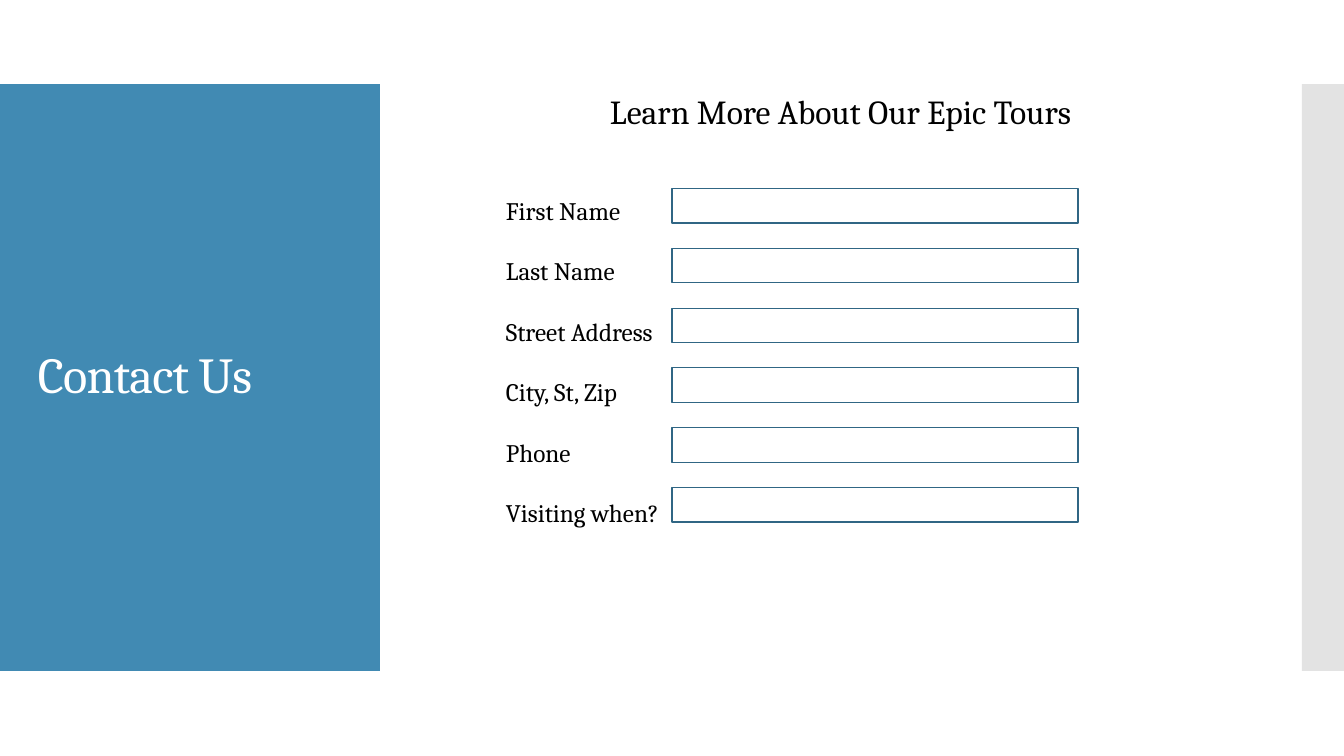
from dataclasses import dataclass

from lxml import etree
from pptx import Presentation
from pptx import util as u
from pptx.dml.color import RGBColor
from pptx.enum import shapes, text
from pptx.oxml.ns import qn

SCALE = 914400 / 100.8  # EMU in one pixel


@dataclass(frozen=True)
class Theme:
    """Colours, type sizes and font of the slide."""
    font: str = "Cambria"
    panel: str = "418AB3"
    strip: str = "C8C8C8"
    field_line: str = "306684"
    ink: str = "000000"
    light: str = "FFFFFF"
    title_size: int = 36
    heading_size: int = 24
    label_size: int = 18
    line_width: float = 0.85


THEME = Theme()
LABELS = ["First Name", "Last Name", "Street Address",
          "City, St, Zip", "Phone", "Visiting when?"]


def emu(*pixels):
    """Turn pixels into EMU."""
    return [u.Emu(round(pixel * SCALE)) for pixel in pixels]


def apply_format(target, values):
    """Set each attribute named in a dict of format values."""
    for name, value in values.items():
        setattr(target, name, value)


def add_rectangle(slide, box, fill=None, line=None):
    """Add a rectangle with an optional fill and outline."""
    shape = slide.shapes.add_shape(shapes.MSO_SHAPE.RECTANGLE, *emu(*box))
    shape.shadow.inherit = False
    for part, color in ((shape.fill, fill), (shape.line.fill, line)):
        if color:
            part.solid()
            part.fore_color.rgb = RGBColor.from_string(color)
        else:
            part.background()
    if line:
        shape.line.width = u.Pt(THEME.line_width)
    return shape


def add_text(slide, box, lines, size, color, frame_format=None, paragraph_format=None):
    """Add a text box with one paragraph for each line and return its frame."""
    frame = slide.shapes.add_textbox(*emu(*box)).text_frame
    apply_format(frame, {"word_wrap": True, **(frame_format or {})})
    frame.text = "\n".join(lines)
    for paragraph in frame.paragraphs:
        apply_format(paragraph, paragraph_format or {})
        font = paragraph.runs[0].font
        apply_format(font, {"name": THEME.font, "size": u.Pt(size)})
        font.color.rgb = RGBColor.from_string(color)
    return frame


def add_title_panel(slide, left, top, width, height):
    """Add the coloured panel and the slide title on it."""
    add_rectangle(slide, (left, top, width, height), THEME.panel)
    frame = add_text(slide, (left + 28, top + 40, width - 55, height - 80),
                     ["Contact Us"], THEME.title_size, THEME.light,
                     {"vertical_anchor": text.MSO_ANCHOR.MIDDLE},
                     {"line_spacing": 0.9})
    frame.paragraphs[0].runs[0].font._element.set("spc", "-60")


def add_side_strip(slide, left, top, width, height):
    """Add the half transparent strip at the slide edge."""
    strip = add_rectangle(slide, (left, top, width, height), THEME.strip)
    color = strip._element.spPr.find(qn("a:solidFill"))[0]
    etree.SubElement(color, qn("a:alpha")).set("val", "50000")


def add_contact_form(slide, left, top, width, height):
    """Add the heading, the column of labels and an entry field for each."""
    grow = {"auto_size": text.MSO_AUTO_SIZE.SHAPE_TO_FIT_TEXT}
    add_text(slide, (left, top + 2, width, 50), ["Learn More About Our Epic Tours"],
             THEME.heading_size, THEME.ink, grow,
             {"alignment": text.PP_ALIGN.CENTER})
    add_text(slide, (left + 117, top + 76, 688, 369), LABELS,
             THEME.label_size, THEME.ink, grow, {"line_spacing": 2.0})
    for row in range(len(LABELS)):
        add_rectangle(slide, (left + 293, top + 104.5 + row * 59.8, 406, 34.5),
                      line=THEME.field_line)


def main():
    """Build and save the contact slide."""
    presentation = Presentation()
    width, height = 1344, 756
    apply_format(presentation, dict(zip(("slide_width", "slide_height"),
                                        emu(width, height))))
    slide = presentation.slides.add_slide(presentation.slide_layouts[6])
    top, band, panel, strip = 84, 587, 380, 42
    add_title_panel(slide, 0, top, panel, band)
    add_side_strip(slide, width - strip, top, strip, band)
    add_contact_form(slide, panel - 1, top, width - strip - panel + 1, band)
    presentation.save("out.pptx")


main()
